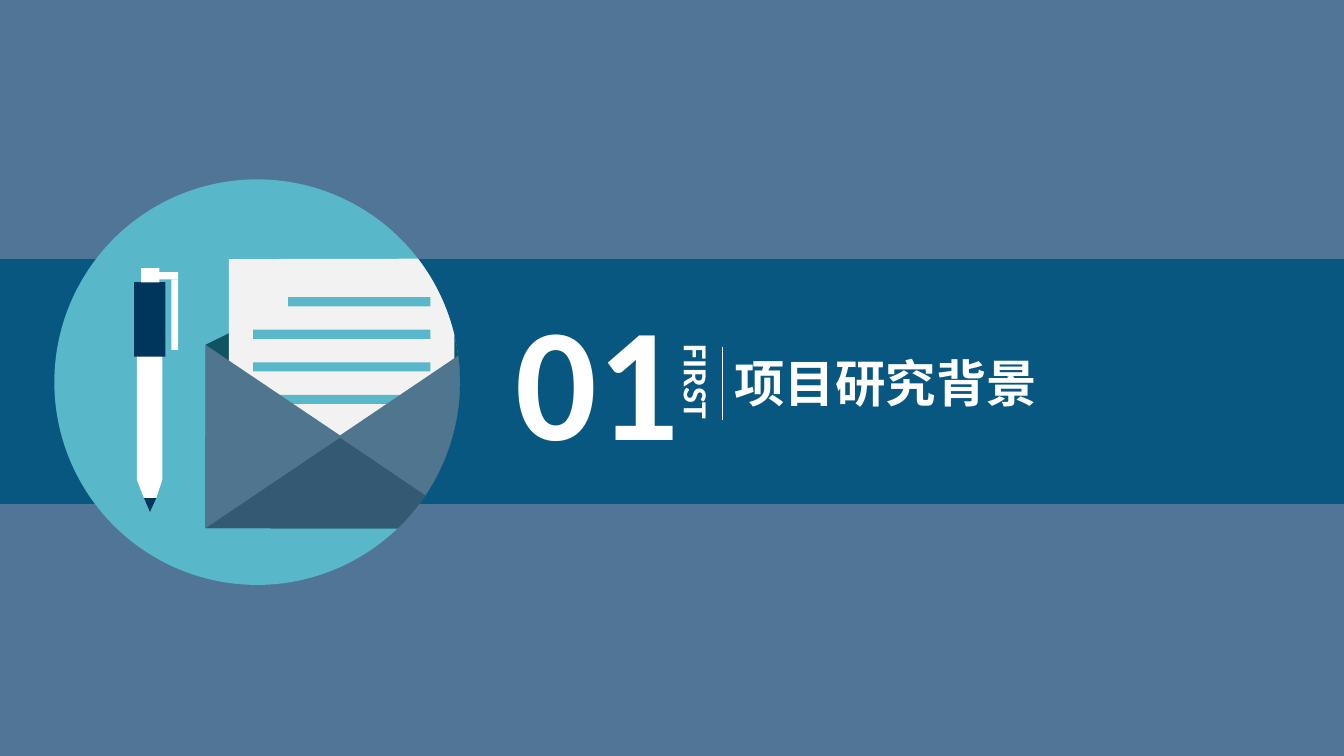
from dataclasses import dataclass
from math import cos, radians, sin

from lxml import etree
from pptx import Presentation
from pptx.dml.color import RGBColor
from pptx.enum.shapes import MSO_CONNECTOR, MSO_SHAPE
from pptx.enum.text import MSO_AUTO_SIZE
from pptx.oxml.ns import qn
from pptx.util import Cm, Pt

RECT, OVAL = MSO_SHAPE.RECTANGLE, MSO_SHAPE.OVAL
LINE = MSO_CONNECTOR.STRAIGHT
FIT = MSO_AUTO_SIZE.SHAPE_TO_FIT_TEXT

SKY = RGBColor(0x50, 0x75, 0x96)
BAND = RGBColor(0x08, 0x57, 0x80)
TEAL = RGBColor(0x58, 0xB7, 0xC8)
INSIDE = RGBColor(0x0F, 0x54, 0x62)
PAPER = RGBColor(0xF2, 0xF2, 0xF2)
FRONT = RGBColor(0x33, 0x59, 0x73)
FLAP = RGBColor(0x50, 0x75, 0x8F)
NAVY = RGBColor(0x00, 0x36, 0x5C)
WHITE = RGBColor(0xFF, 0xFF, 0xFF)

LATIN, HAN = "Calibri", "Noto Sans CJK SC"

Point = tuple[float, float]
MID_X, MID_Y, RADIUS = 6.48, 9.63, 5.11
ARC_STEPS = 16


@dataclass
class Block:
    left: float
    top: float
    width: float
    height: float
    fill: RGBColor
    kind: MSO_SHAPE = RECT


@dataclass
class Patch:
    points: list[Point]
    fill: RGBColor


@dataclass
class Label:
    text: str
    left: float
    top: float
    width: float
    height: float
    size: int
    font: str = LATIN
    turned: bool = False


def arc(start: float, end: float) -> list[Point]:
    """Points along the badge's rim, in degrees clockwise from the right."""
    step = (end - start) / ARC_STEPS
    turns = [radians(start + step * i) for i in range(ARC_STEPS + 1)]
    return [(MID_X + RADIUS * cos(t), MID_Y + RADIUS * sin(t)) for t in turns]


# Envelope: its left side, heights of flap, fold and base
SIDE, TOP, FOLD, BASE = 5.18, 8.69, 11.0, 13.31

BADGE = Block(MID_X - RADIUS, MID_Y - RADIUS, 2 * RADIUS, 2 * RADIUS, TEAL, OVAL)
ROWS = [Block(x, 7.49 + 0.82 * i, 10.85 - x, 0.23, TEAL)
        for i, x in enumerate([7.26, 6.38, 6.38, 6.38])]
ENVELOPE_BACK = [
    Patch(arc(-13.6, 46.2) + [(SIDE, BASE), (SIDE, TOP), (8.61, 6.99)], INSIDE),
    Patch(arc(-37.5, -13.3) + [(11.43, 10.8), (11.35, 11.07), (5.77, 11.07),
                               (5.77, 6.53)], PAPER),
]
ENVELOPE_FRONT = [
    Patch(arc(15.6, 46.2) + [(SIDE, BASE), (SIDE, FOLD)], FRONT),
    Patch([(SIDE, TOP), (SIDE, BASE), (8.61, FOLD)], FLAP),
    Patch(arc(-7.5, 33.9) + [(8.53, FOLD)], FLAP),
]
PEN = [
    Patch([(3.45, 7.39), (3.45, 12.09), (3.63, 12.55), (3.94, 12.55),
           (4.09, 12.09), (4.09, 7.39)], WHITE),
    Patch([(3.94, 12.55), (3.63, 12.55), (3.78, 12.9)], NAVY),
    Block(3.38, 7.11, 0.79, 1.88, NAVY),
    Block(3.56, 6.76, 0.46, 0.36, WHITE),
    Block(4.01, 6.86, 0.48, 0.18, WHITE),
    Block(4.32, 7.04, 0.17, 1.78, WHITE),
]
ART = [BADGE, *ENVELOPE_BACK, *ROWS, *ENVELOPE_FRONT, *PEN]

LABELS = [
    Label("01", 12.75, 6.93, 4.62, 5.18, 115),
    Label("FIRST", 16.66, 8.43, 1.55, 2.03, 24, turned=True),
    Label("项目研究背景", 18.26, 8.74, 8.2, 1.8, 36, HAN),
]


def draw(shapes, part: Block | Patch) -> None:
    if isinstance(part, Block):
        shape = shapes.add_shape(part.kind, Cm(part.left), Cm(part.top),
                                 Cm(part.width), Cm(part.height))
    else:
        first, *rest = [(Cm(x), Cm(y)) for x, y in part.points]
        pen = shapes.build_freeform(*first)
        pen.add_line_segments(rest, close=True)
        shape = pen.convert_to_shape()
    shape.shadow.inherit = False
    shape.fill.solid()
    shape.fill.fore_color.rgb = part.fill
    shape.line.fill.background()


def write(shapes, label: Label) -> None:
    box = shapes.add_textbox(Cm(label.left), Cm(label.top),
                             Cm(label.width), Cm(label.height))
    frame = box.text_frame
    frame.text = label.text
    frame.word_wrap = False
    frame.auto_size = FIT
    if label.turned:
        box.element.txBody.bodyPr.set("vert", "eaVert")
    font = frame.paragraphs[0].runs[0].font
    font.name, font.size, font.bold = label.font, Pt(label.size), True
    font.color.rgb = WHITE
    for props in box.element.iter(qn("a:rPr")):
        asian = etree.Element(qn("a:ea"), typeface=label.font)
        props.find(qn("a:latin")).addnext(asian)


def rule(shapes, x: float, top: float, end: float) -> None:
    """Thin white upright line."""
    line = shapes.add_connector(LINE, Cm(x), Cm(top), Cm(x), Cm(end))
    line.line.color.rgb = WHITE
    line.line.width = Pt(0.25)
    etree.SubElement(line.element.spPr, qn("a:effectLst"))


def main() -> None:
    deck = Presentation()
    deck.slide_width, deck.slide_height = Cm(33.87), Cm(19.05)
    slide = deck.slides.add_slide(deck.slide_layouts[6])
    slide.background.fill.solid()
    slide.background.fill.fore_color.rgb = SKY
    draw(slide.shapes, Block(0, 6.53, 33.87, 6.17, BAND))
    group = slide.shapes.add_group_shape()
    for part in ART:
        draw(group.shapes, part)
    for label in LABELS:
        write(slide.shapes, label)
    rule(slide.shapes, 18.19, 8.74, 10.59)
    deck.save("out.pptx")


if __name__ == "__main__":
    main()
